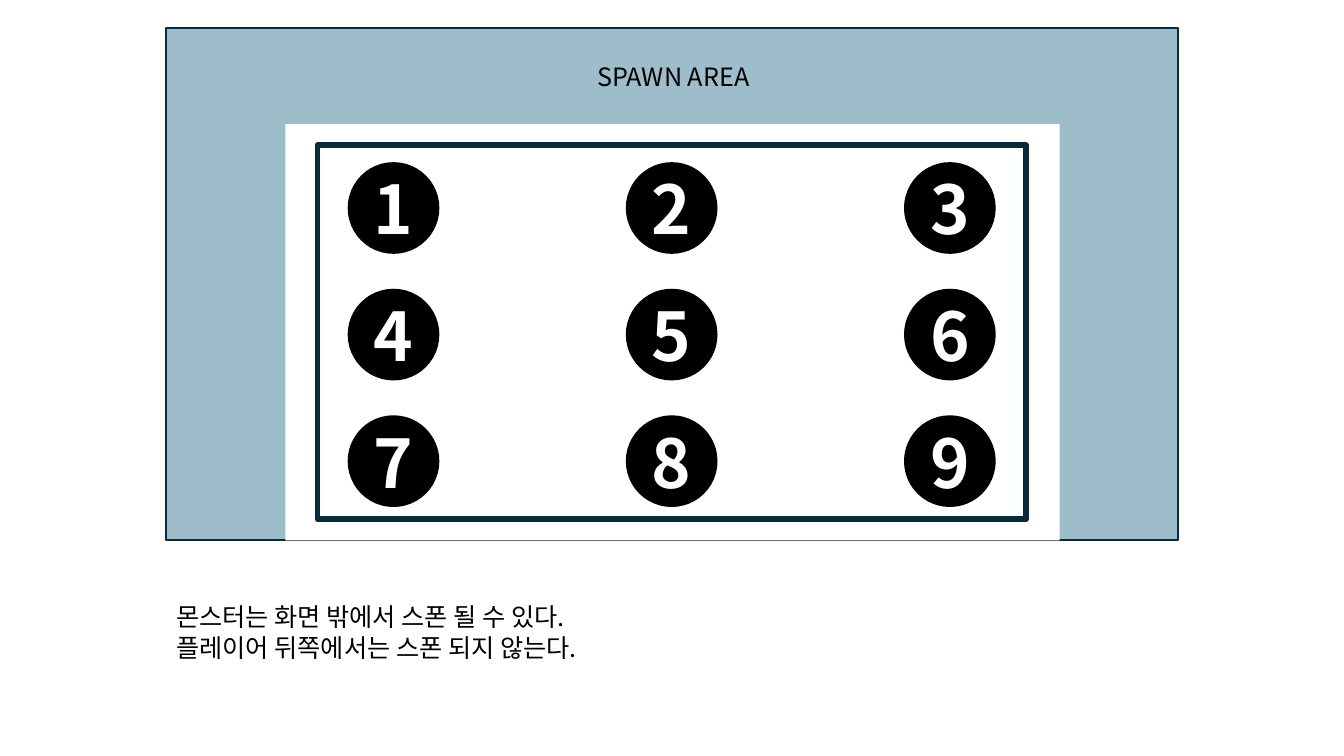
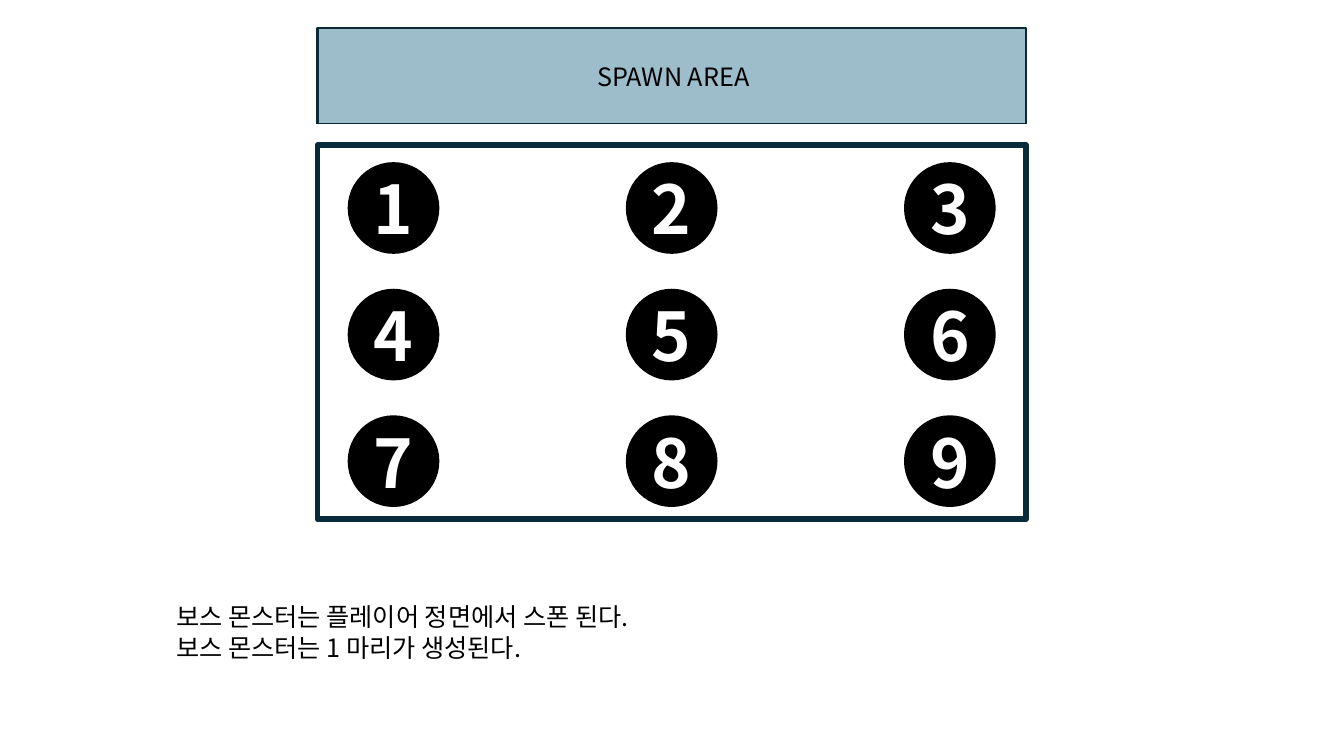
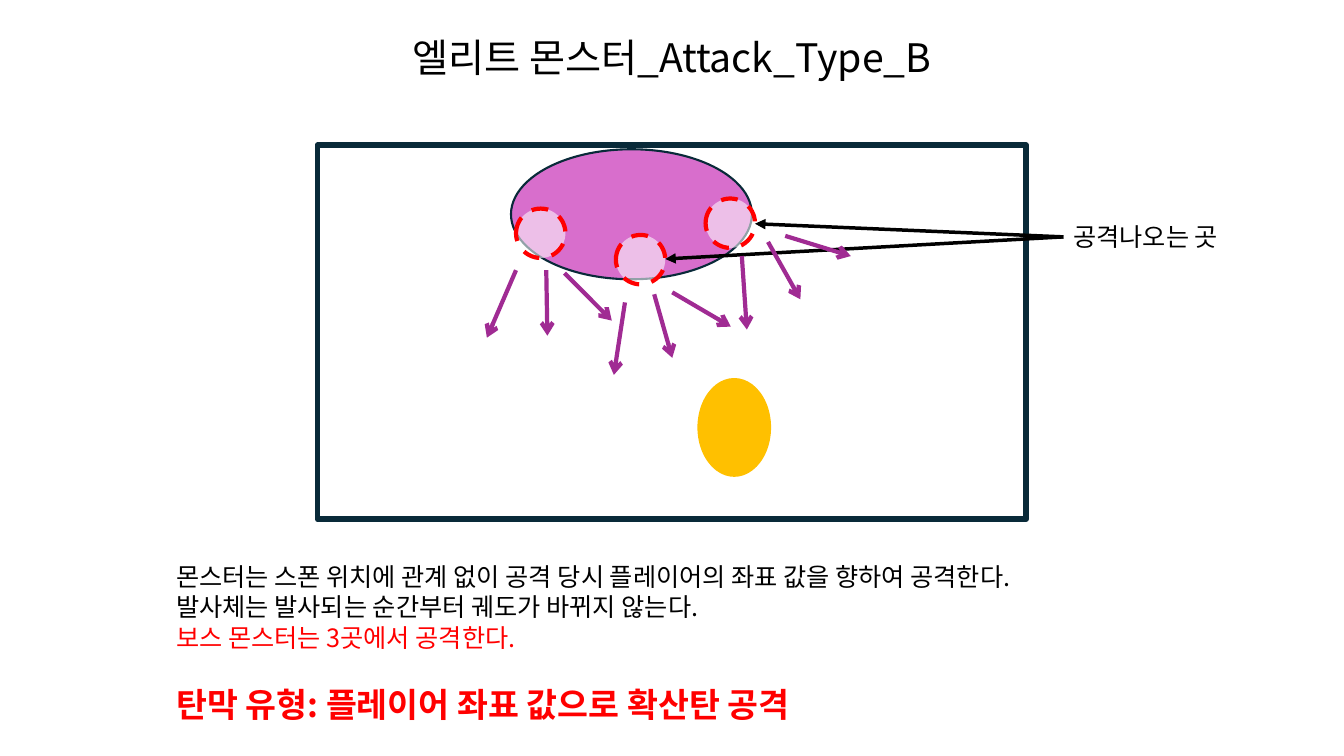
from dataclasses import dataclass

from lxml import etree
from pptx import Presentation
from pptx.dml.color import RGBColor
from pptx.enum.dml import MSO_LINE
from pptx.enum.shapes import MSO_CONNECTOR, MSO_SHAPE
from pptx.enum.text import MSO_ANCHOR, PP_ALIGN
from pptx.oxml.ns import qn
from pptx.util import Pt

RECT, OVAL = MSO_SHAPE.RECTANGLE, MSO_SHAPE.OVAL
LEFT, CENTER = PP_ALIGN.LEFT, PP_ALIGN.CENTER
TOP, MIDDLE = MSO_ANCHOR.TOP, MSO_ANCHOR.MIDDLE
STRAIGHT = MSO_CONNECTOR.STRAIGHT
DASH = MSO_LINE.DASH


@dataclass(frozen=True)
class Theme:
    font: str = "Noto Sans CJK KR"
    black: str = "000000"
    white: str = "FFFFFF"
    navy: str = "092A39"
    teal: str = "156082"
    red: str = "FF0000"
    pink: str = "D86ECC"
    purple: str = "A02B93"
    amber: str = "FFC000"
    body: int = 18
    strong: int = 24
    title: int = 28
    number: int = 48
    leading: float = 1.22


T = Theme()

# Shared places in points: left, top, width, height
SCREEN = (226.8, 103.7, 506.2, 267.1)
MARGIN = (203.8, 88.6, 553, 297.4)
CAPTION_LEFT, CAPTION_WIDTH = 118.8, 722.9


class Deck:
    def __init__(self):
        self.prs = Presentation()
        self.prs.slide_width, self.prs.slide_height = Pt(960), Pt(540)
        self.s = None

    def new_slide(self):
        self.s = self.prs.slides.add_slide(self.prs.slide_layouts[6])

    def shape(self, kind, box, fill=None, line=None, width=1.5, alpha=None, dash=None):
        sp = self.s.shapes.add_shape(kind, *map(Pt, box))
        sp.shadow.inherit = False
        if fill:
            sp.fill.solid()
            sp.fill.fore_color.rgb = RGBColor.from_string(fill)
        else:
            sp.fill.background()
        if alpha:
            clr = sp._element.spPr.find(qn("a:solidFill"))[0]
            etree.SubElement(clr, qn("a:alpha"), val=str(alpha * 1000))
        if line:
            sp.line.color.rgb = RGBColor.from_string(line)
            sp.line.width = Pt(width)
        else:
            sp.line.fill.background()
        if dash:
            sp.line.dash_style = dash
        return sp

    def run(self, p, text, size, color, bold=False):
        r = p.add_run()
        r.text = text
        r.font.name, r.font.size, r.font.bold = T.font, Pt(size), bold
        r.font.color.rgb = RGBColor.from_string(color)
        etree.SubElement(r._r.get_or_add_rPr(), qn("a:ea"), typeface=T.font)

    def text(self, box, lines, size=T.body, align=LEFT):
        """Each line is a string or (string, options of the line)."""
        tf = self.s.shapes.add_textbox(*map(Pt, box)).text_frame
        tf.word_wrap, tf.vertical_anchor = True, TOP
        for i, line in enumerate(lines):
            text, opts = (line, {}) if isinstance(line, str) else line
            line_size = opts.get("size", size)
            p = tf.add_paragraph() if i else tf.paragraphs[0]
            p.alignment = align
            p.line_spacing = Pt(round(line_size * T.leading, 1))
            p.space_before = Pt(opts.get("before", 0))
            self.run(p, text, line_size, opts.get("color", T.black), opts.get("bold", False))

    def arrow(self, start, end, color, width, head):
        c = self.s.shapes.add_connector(STRAIGHT, *map(Pt, start + end))
        c.line.color.rgb = RGBColor.from_string(color)
        c.line.width = Pt(width)
        etree.SubElement(c.line._get_or_add_ln(), qn("a:tailEnd"), type=head)
        etree.SubElement(c._element.spPr, qn("a:effectLst"))

    def screen(self):
        self.shape(RECT, SCREEN, line=T.navy, width=4)

    def number_grid(self):
        left, top, size, step_x, step_y = 249.1, 116.6, 64, 198.7, 90.4
        for i in range(9):
            row, col = divmod(i, 3)
            box = (left + col * step_x, top + row * step_y, size, size)
            sp = self.shape(OVAL, box, T.black, T.black)
            tf = sp.text_frame
            tf.vertical_anchor = MIDDLE
            p = tf.paragraphs[0]
            p.alignment = CENTER
            self.run(p, str(i + 1), T.number, T.white, bold=True)

    def spawn_slide(self, area, caption):
        self.new_slide()
        self.shape(RECT, area, T.teal, T.navy, alpha=41)
        self.shape(RECT, MARGIN, T.white)
        self.screen()
        self.number_grid()
        self.text((393.1, 39.6, 175.7, 29), ["SPAWN AREA"], align=CENTER)
        self.text((CAPTION_LEFT, 425.5, CAPTION_WIDTH, 51), caption)

    def attack_slide(self):
        self.new_slide()
        self.text((SCREEN[0], 19.4, SCREEN[2], 41), ["엘리트 몬스터_Attack_Type_B"],
                  T.title, CENTER)
        self.text((CAPTION_LEFT, 396.7, CAPTION_WIDTH, 124), [
            "몬스터는 스폰 위치에 관계 없이 공격 당시 플레이어의 좌표 값을 향하여 공격한다.",
            "발사체는 발사되는 순간부터 궤도가 바뀌지 않는다.",
            ("보스 몬스터는 3곳에서 공격한다.", {"color": T.red}),
            ("탄막 유형: 플레이어 좌표 값으로 확산탄 공격",
             {"color": T.red, "size": T.strong, "bold": True, "before": 22}),
        ])

        # Monster and player
        self.screen()
        self.shape(OVAL, (365, 106.6, 172.1, 92.9), T.pink, T.navy)
        self.shape(OVAL, (498.2, 270, 52.6, 70.6), T.amber)

        # Attack points
        spot = 35.3
        for x, y in ((368.6, 149), (439.9, 167.8), (504, 141.8)):
            self.shape(OVAL, (x, y, spot, spot), T.white, T.red, 3, alpha=56, dash=DASH)

        # Label pointing at two of them
        self.text((759.6, 154.1, 149.8, 29), ["공격나오는 곳"])
        for end in ((539.3, 159.8), (475.2, 185)):
            self.arrow((759.6, 169.2), end, T.black, 2.5, "triangle")

        # Three shots from each point
        shots = (
            ((368.6, 193), (347.8, 241.2)),
            ((390.2, 193), (391, 239.8)),
            ((403.2, 195.1), (437, 229)),
            ((446.4, 216), (438.5, 267.8)),
            ((467.3, 210.2), (480.2, 255.6)),
            ((480.2, 208.8), (522, 233.3)),
            ((529.9, 182.9), (533.5, 235.4)),
            ((548.6, 172.8), (571.7, 213.8)),
            ((560.9, 168.5), (607.7, 182.9)),
        )
        for start, end in shots:
            self.arrow(start, end, T.purple, 3, "arrow")


def main():
    deck = Deck()
    deck.spawn_slide((118.8, 20.2, 722.9, 365.8), [
        "몬스터는 화면 밖에서 스폰 될 수 있다.",
        "플레이어 뒤쪽에서는 스폰 되지 않는다.",
    ])
    deck.spawn_slide((SCREEN[0], 20.2, SCREEN[2], 68.4), [
        "보스 몬스터는 플레이어 정면에서 스폰 된다.",
        "보스 몬스터는 1 마리가 생성된다.",
    ])
    deck.attack_slide()
    deck.prs.save("out.pptx")


if __name__ == "__main__":
    main()
